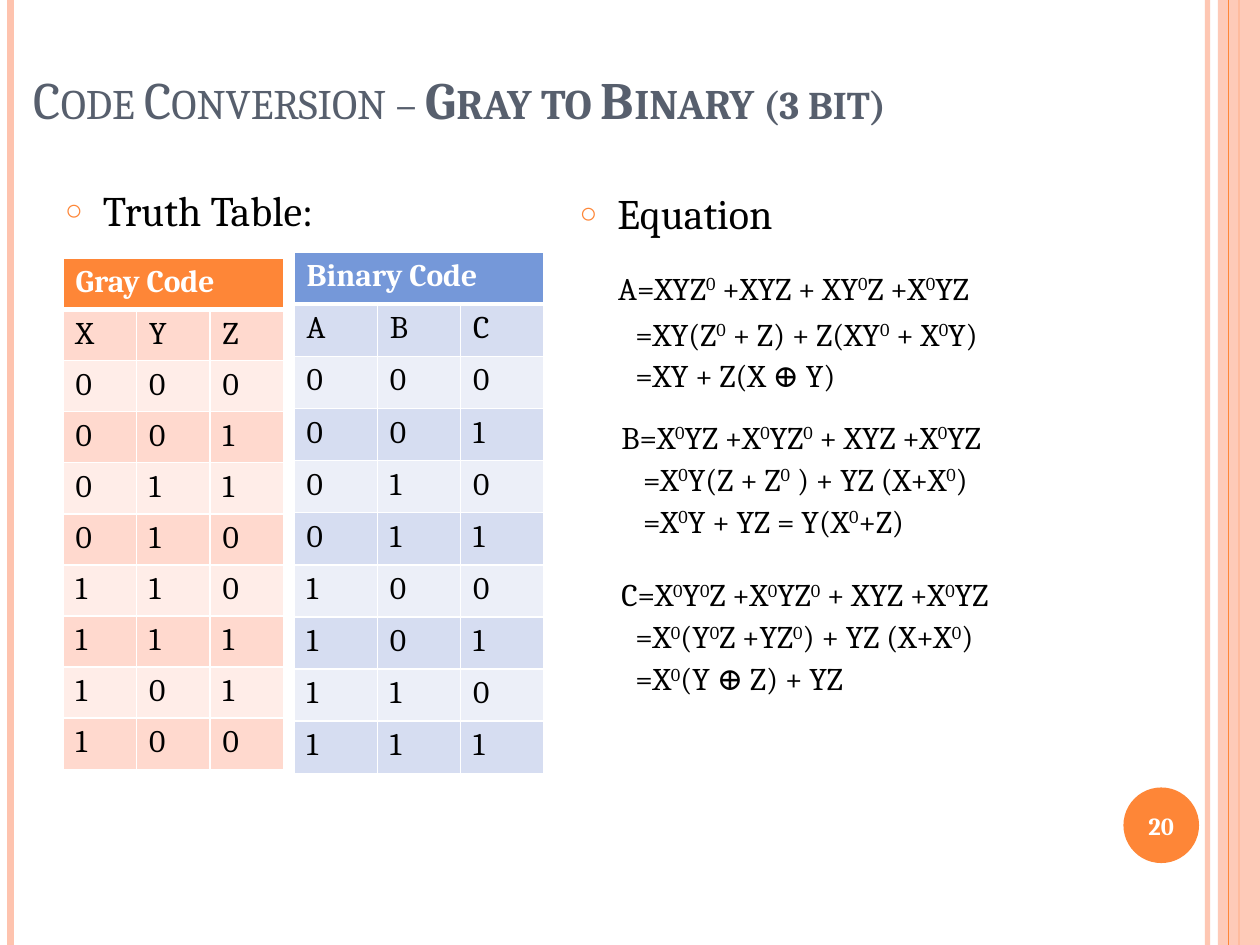
from pptx import Presentation
from pptx.dml.color import RGBColor
from pptx.enum.shapes import MSO_CONNECTOR as LINK, MSO_SHAPE as SHAPE
from pptx.enum.text import MSO_ANCHOR as ANCHOR, MSO_AUTO_SIZE as FIT, PP_ALIGN as ALIGN
from pptx.oxml import parse_xml
from pptx.oxml.ns import nsdecls
from pptx.util import Inches, Pt

ORANGE = RGBColor(0xFE, 0x86, 0x37)
PEACH = RGBColor(0xFE, 0xC3, 0xAE)
ROSE = RGBColor(0xFF, 0xD9, 0xCE)
PALE_ROSE = RGBColor(0xFF, 0xED, 0xE8)
BLUE = RGBColor(0x75, 0x98, 0xD9)
SKY = RGBColor(0xD6, 0xDD, 0xF1)
PALE_SKY = RGBColor(0xEC, 0xEF, 0xF8)
SLATE = RGBColor(0x57, 0x5F, 0x6D)
BLACK = RGBColor(0, 0, 0)
WHITE = RGBColor(0xFF, 0xFF, 0xFF)

deck = Presentation()
deck.slide_width, deck.slide_height = Inches(10), Inches(7.5)
UNIT = deck.slide_width / 120
slide = deck.slides.add_slide(deck.slide_layouts[3])
shapes = slide.shapes
title, truth_heading, equation_heading = list(slide.placeholders)


def grid(*units):
    return [round(unit * UNIT) for unit in units]


def write(paragraph, text, color, size, **extra):
    run = paragraph.add_run()
    run.text = text
    for key, value in {"name": "Cambria", "size": Pt(size), "bold": False, **extra}.items():
        setattr(run.font, key, value)
    run.font.color.rgb = color
    return run._r.get_or_add_rPr()


for column, color, weight, alpha in [
    (115, PEACH, 3, 93), (1, PEACH, 4.5, 100), (118, ORANGE, 1.5, 100),
    (116, PEACH, 0, 87), (117, ORANGE, 0.75, 100),
]:
    if weight:
        stripe = shapes.add_connector(LINK.STRAIGHT, *grid(column, 0, column, 90))
        stripe.line.width = Pt(weight)
        paint = stripe.line.fill
    else:
        stripe = shapes.add_shape(SHAPE.RECTANGLE, *grid(column, 0, 4, 90))
        stripe.shadow.inherit = False
        stripe.line.fill.background()
        paint = stripe.fill
    paint.solid()
    paint.fore_color.rgb = color
    if weight:
        stripe._element.spPr.append(parse_xml(f"<a:effectLst {nsdecls('a')}/>"))
    if alpha < 100:
        tint = stripe._element.spPr.find(".//{*}srgbClr")
        tint.append(parse_xml(f'<a:alpha {nsdecls("a")} val="{alpha * 1000}"/>'))

page = shapes.add_shape(SHAPE.OVAL, *grid(107, 75, 7.2, 7.2))
page.shadow.inherit = False
page.fill.solid()
page.fill.fore_color.rgb = ORANGE
page.line.fill.background()
page.text_frame.margin_left = page.text_frame.margin_right = 0
page.text_frame.vertical_anchor = ANCHOR.MIDDLE
page.text_frame.paragraphs[0].alignment = ALIGN.CENTER
write(page.text_frame.paragraphs[0], "20", WHITE, 14, bold=True)

title.left, title.top, title.width, title.height = grid(2, -2, 110, 15)
title.text_frame.auto_size = FIT.NONE
title.text_frame.vertical_anchor = ANCHOR.BOTTOM
title.text_frame.paragraphs[0].alignment = ALIGN.LEFT
for words, size, bold in [
    ("Code Conversion – ", 30, False), ("Gray to Binary ", 30, True), ("(3 bit)", 28, True),
]:
    write(title.text_frame.paragraphs[0], words, SLATE, size, bold=bold).set("cap", "small")

for heading, words, left, top in [
    (truth_heading, "Truth Table:", 5, 17), (equation_heading, "Equation", 54, 17.3),
]:
    heading.left, heading.top, heading.width, heading.height = grid(left, top, 98, 8)
    heading.text_frame.auto_size = FIT.NONE
    line = heading.text_frame.paragraphs[0]
    line.space_before = Pt(6)
    write(line, words, BLACK, 24)
    bullet = line._p.get_or_add_pPr()
    bullet.set("marL", str(Inches(0.3)))
    bullet.set("indent", str(-Inches(0.3)))
    for mark in [
        f'<a:buClr {nsdecls("a")}><a:srgbClr val="{ORANGE}"/></a:buClr>',
        f'<a:buSzPct {nsdecls("a")} val="70000"/>',
        f'<a:buChar {nsdecls("a")} char="○"/>',
    ]:
        bullet.append(parse_xml(mark))

BINARY = [f"{number:03b}" for number in range(8)]
GRAY = [f"{number ^ number >> 1:03b}" for number in range(8)]
for caption, rows, place, head, bands in [
    ("Binary Code", ["ABC", *BINARY], (28, 24, 23.8, 49.7), BLUE, (PALE_SKY, SKY)),
    ("Gray Code", ["XYZ", *GRAY], (6, 24.6, 21, 48.7), ORANGE, (PALE_ROSE, ROSE)),
]:
    table = shapes.add_table(10, 3, *grid(*place)).table
    table.cell(0, 0).merge(table.cell(0, 2))
    for r, values in enumerate([[caption, "", ""], *rows]):
        for c, value in enumerate(values):
            cell = table.cell(r, c)
            for side in "LRTB":
                thick = (r, side) in [(0, "B"), (1, "T")]
                cell._tc.get_or_add_tcPr().append(parse_xml(
                    f'<a:ln{side} {nsdecls("a")} w="{Pt(3 if thick else 1)}">'
                    f'<a:solidFill><a:srgbClr val="{WHITE}"/></a:solidFill></a:ln{side}>'))
            cell.fill.solid()
            cell.fill.fore_color.rgb = bands[r % 2] if r else head
            if value:
                write(cell.text_frame.paragraphs[0], value, BLACK if r else WHITE, 18, bold=r == 0)

for left, top, indent, equation in [
    (57.7, 25, 0, "A=XYZ0 +XYZ + XY0Z +X0YZ"),
    (58, 29.4, 0.11, "=XY(Z0 + Z) + Z(XY0 + X0Y)"),
    (58, 33.3, 0.11, "=XY + Z(X ⊕ Y)"),
    (58, 39.2, 0, "B=X0YZ +X0YZ0 + XYZ +X0YZ"),
    (58, 43.2, 0.17, "=X0Y(Z + Z0 ) + YZ (X+X0)"),
    (58, 47.2, 0.17, "=X0Y + YZ = Y(X0+Z)"),
    (58, 54.2, 0, "C=X0Y0Z +X0YZ0 + XYZ +X0YZ"),
    (58, 58.2, 0.11, "=X0(Y0Z +YZ0) + YZ (X+X0)"),
    (58, 62.2, 0.11, "=X0(Y ⊕ Z) + YZ"),
]:
    frame = shapes.add_textbox(*grid(left, top, 50, 4.8)).text_frame
    frame.word_wrap = True
    frame.margin_left = Inches(0.1 + indent)
    for i, term in enumerate(equation.split("0")):
        if i:
            write(frame.paragraphs[0], "0", BLACK, 18).set("baseline", "30000")
        if term:
            write(frame.paragraphs[0], term, BLACK, 18)

deck.save("out.pptx")
